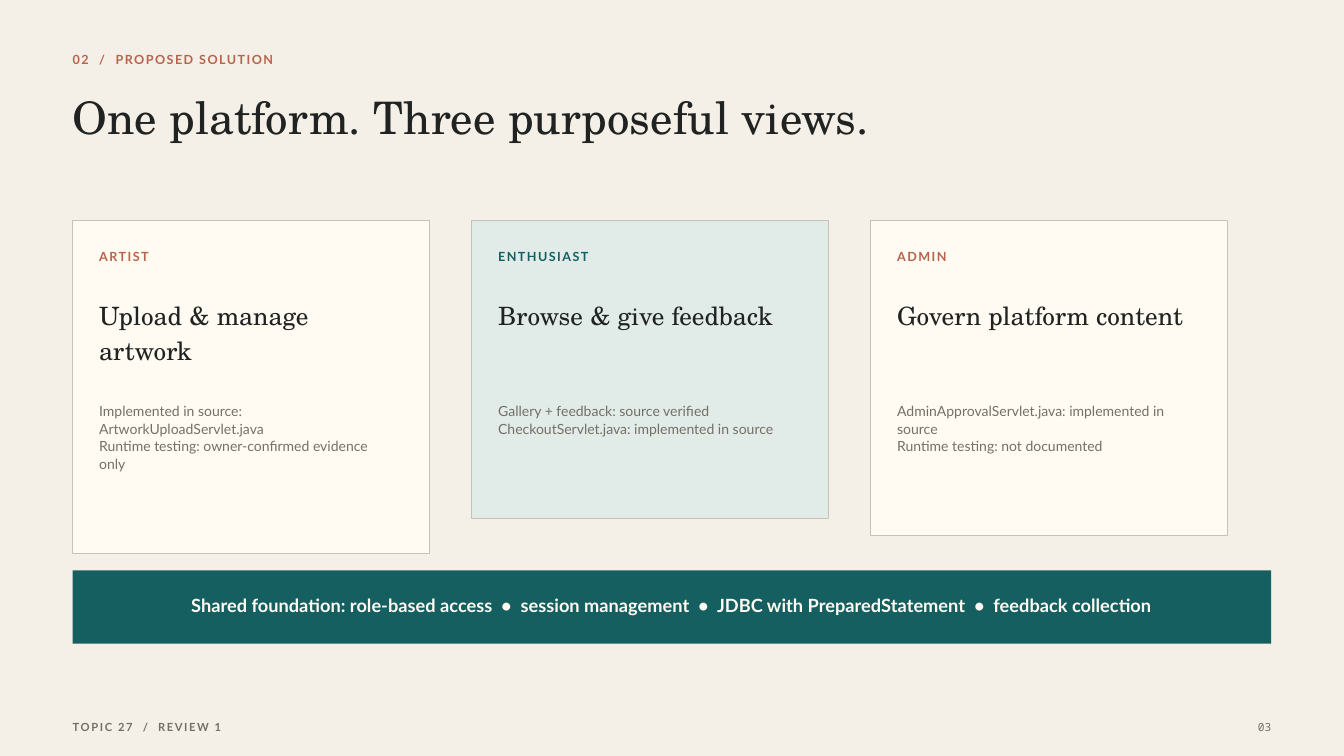
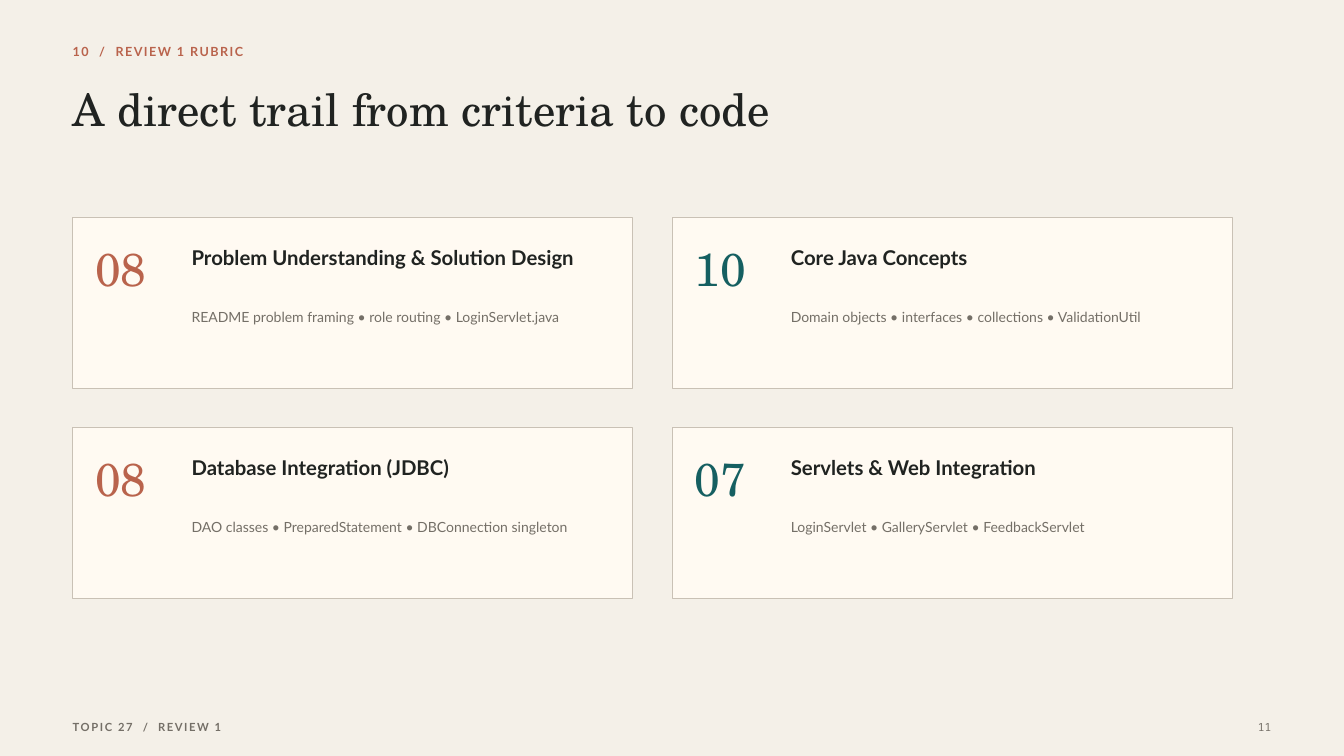
from dataclasses import dataclass

from pptx import Presentation
from pptx.dml.color import RGBColor
from pptx.enum.shapes import MSO_SHAPE
from pptx.enum.text import MSO_AUTO_SIZE, PP_ALIGN
from pptx.util import Cm, Pt

FOOTER = "TOPIC 27  /  REVIEW 1"

SOLUTION = {
    "kicker": "02  /  PROPOSED SOLUTION",
    "title": "One platform. Three purposeful views.",
    "page": "03",
    "top": 1.85,
}
# role, heading, status paragraphs, heading lines, status lines, accent, fill
VIEWS = [
    ("ARTIST", "Upload & manage artwork",
     ["Implemented in source: ArtworkUploadServlet.java",
      "Runtime testing: owner-confirmed evidence only"], 2, 4, "rust", "cream"),
    ("ENTHUSIAST", "Browse & give feedback",
     ["Gallery + feedback: source verified",
      "CheckoutServlet.java: implemented in source"], 1, 2, "teal", "mint"),
    ("ADMIN", "Govern platform content",
     ["AdminApprovalServlet.java: implemented in source",
      "Runtime testing: not documented"], 1, 3, "rust", "cream"),
]
FOUNDATION = ("Shared foundation: role-based access  •  session management  •  "
              "JDBC with PreparedStatement  •  feedback collection")

RUBRIC = {
    "kicker": "10  /  REVIEW 1 RUBRIC",
    "title": "A direct trail from criteria to code",
    "page": "11",
    "top": 1.57,
}
# marks, criterion, evidence
CRITERIA = [
    ("08", "Problem Understanding & Solution Design",
     "README problem framing • role routing • LoginServlet.java"),
    ("10", "Core Java Concepts",
     "Domain objects • interfaces • collections • ValidationUtil"),
    ("08", "Database Integration (JDBC)",
     "DAO classes • PreparedStatement • DBConnection singleton"),
    ("07", "Servlets & Web Integration",
     "LoginServlet • GalleryServlet • FeedbackServlet"),
]


@dataclass(frozen=True)
class Style:
    font: str
    size: float
    leading: float
    color: str
    bold: bool = False
    tracking: float = 0


class Theme:
    SANS, SERIF, MONO = "Lato", "TeX Gyre Schola", "Noto Sans Mono"
    COLORS = {
        "paper": "F4F0E8", "cream": "FFFAF2", "mint": "E1ECE8", "rule": "C9C1B5",
        "ink": "202321", "muted": "746F67", "rust": "B9634C", "teal": "155F61",
    }
    label = Style(SANS, 13.5, 18.9, "rust", bold=True, tracking=1.6)
    title = Style(SERIF, 48, 50.4, "ink")
    heading = Style(SERIF, 27, 37.8, "ink")
    status = Style(SANS, 15, 18.8, "muted")
    band = Style(SANS, 19.5, 27.3, "cream", bold=True)
    marks = Style(SERIF, 49.5, 69.3, "rust")
    criterion = Style(SANS, 21.8, 30.4, "ink", bold=True)
    evidence = Style(SANS, 15, 19.5, "muted")
    footer = Style(SANS, 12, 16.8, "muted", bold=True, tracking=1.7)
    page = Style(MONO, 12, 16.8, "muted")


LEFT, CONTENT_W = 2.75, 45.3
CM_PER_PT = 2.54 / 72


def rgb(name):
    return RGBColor.from_string(Theme.COLORS[name])


def add_text(shapes, text, x, y, w, *, style, color=None, align=PP_ALIGN.LEFT, lines=1):
    """Add a margin-free text box; text is a string or a list of paragraphs."""
    height = lines * style.leading * CM_PER_PT
    tf = shapes.add_textbox(Cm(x), Cm(y), Cm(w), Cm(height)).text_frame
    tf.margin_left = tf.margin_top = tf.margin_right = tf.margin_bottom = 0
    tf.word_wrap = True
    tf.auto_size = MSO_AUTO_SIZE.SHAPE_TO_FIT_TEXT
    paragraphs = [text] if isinstance(text, str) else text
    for i, line in enumerate(paragraphs):
        p = tf.add_paragraph() if i else tf.paragraphs[0]
        p.alignment = align
        p.line_spacing = Pt(style.leading)
        r = p.add_run()
        r.text = line
        r.font.name = style.font
        r.font.size = Pt(style.size)
        r.font.bold = style.bold
        r.font.color.rgb = rgb(color or style.color)
        if style.tracking:
            r._r.get_or_add_rPr().set("spc", str(round(style.tracking * 100)))


def add_panel(shapes, x, y, w, h, *, fill, outlined=True):
    sp = shapes.add_shape(MSO_SHAPE.RECTANGLE, Cm(x), Cm(y), Cm(w), Cm(h))
    sp.shadow.inherit = False
    sp.fill.solid()
    sp.fill.fore_color.rgb = rgb(fill)
    if outlined:
        sp.line.color.rgb = rgb("rule")
        sp.line.width = Pt(0.75)
    else:
        sp.line.fill.background()


def add_group(s):
    return s.shapes.add_group_shape().shapes


def add_page(prs, content):
    """Add a slide with its kicker, title and footer."""
    s = prs.slides.add_slide(prs.slide_layouts[6])
    s.background.fill.solid()
    s.background.fill.fore_color.rgb = rgb("paper")
    top = content["top"]
    add_text(s.shapes, content["kicker"], LEFT, top, 14, style=Theme.label)
    add_text(s.shapes, content["title"], LEFT, top + 1.78, 39.67, style=Theme.title)
    footer, footer_y, page_w = add_group(s), 27.13, 2
    add_text(footer, FOOTER, LEFT, footer_y, 11.13, style=Theme.footer)
    add_text(footer, content["page"], LEFT + CONTENT_W - page_w, footer_y, page_w,
             style=Theme.page, align=PP_ALIGN.RIGHT)
    return s


def build_solution(prs):
    s = add_page(prs, SOLUTION)
    top, card_w, pitch, pad, text_w = 8.33, 13.49, 15.08, 1, 11.13
    for i, (role, heading, status, heading_lines, status_lines, accent, fill) in enumerate(VIEWS):
        x = LEFT + i * pitch
        card = add_group(s)
        card_h = 9.93 + status_lines * Theme.status.leading * CM_PER_PT
        add_panel(card, x, top, card_w, card_h, fill=fill)
        add_text(card, role, x + pad, top + pad, text_w, style=Theme.label, color=accent)
        add_text(card, heading, x + pad, top + 2.82, text_w,
                 style=Theme.heading, lines=heading_lines)
        add_text(card, status, x + pad, top + 6.86, text_w,
                 style=Theme.status, lines=status_lines)

    band, band_y, inset = add_group(s), 21.56, 1.74
    add_panel(band, LEFT, band_y, CONTENT_W, 2.77, fill="teal", outlined=False)
    add_text(band, FOUNDATION, LEFT + inset, band_y + 0.76, CONTENT_W - 2 * inset,
             style=Theme.band, align=PP_ALIGN.CENTER)


def build_rubric(prs):
    s = add_page(prs, RUBRIC)
    top, card_w, card_h, pitch_x, pitch_y = 8.2, 21.17, 6.49, 22.65, 7.94
    text_dx, text_w = 4.49, 16.13
    for i, (marks, criterion, evidence) in enumerate(CRITERIA):
        row, col = divmod(i, 2)
        x, y = LEFT + col * pitch_x, top + row * pitch_y
        card = add_group(s)
        add_panel(card, x, y, card_w, card_h, fill="cream")
        add_text(card, marks, x + 0.85, y + 0.54, 3.18,
                 style=Theme.marks, color=("rust", "teal")[col])
        add_text(card, criterion, x + text_dx, y + 0.92, text_w, style=Theme.criterion)
        add_text(card, evidence, x + text_dx, y + 3.4, text_w, style=Theme.evidence)


def main():
    prs = Presentation()
    prs.slide_width, prs.slide_height = Cm(50.8), Cm(28.58)
    build_solution(prs)
    build_rubric(prs)
    prs.save("out.pptx")


if __name__ == "__main__":
    main()
